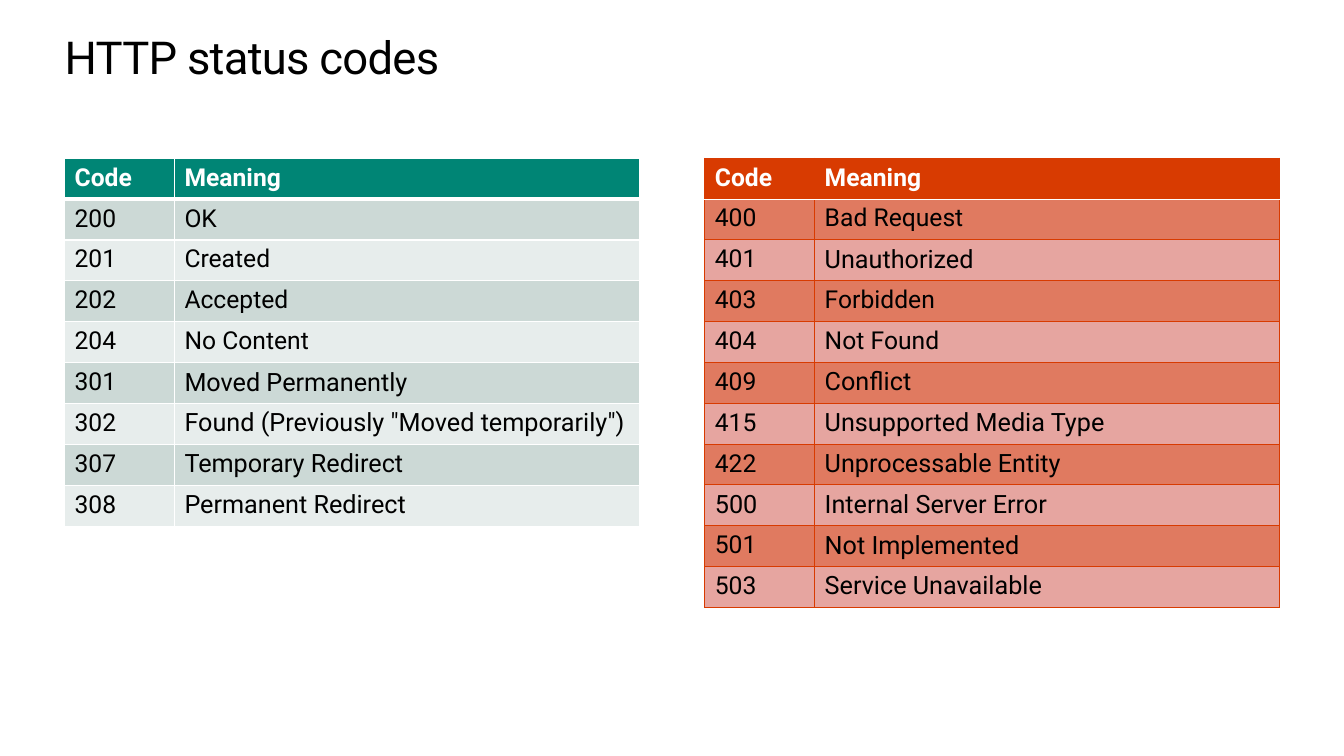
from dataclasses import dataclass

from lxml import etree
from pptx import Presentation
from pptx.dml.color import RGBColor
from pptx.enum.text import MSO_ANCHOR, MSO_AUTO_SIZE, PP_ALIGN
from pptx.oxml.ns import qn
from pptx.util import Inches, Pt

LEFT = PP_ALIGN.LEFT
MIDDLE = MSO_ANCHOR.MIDDLE
NO_AUTOFIT = MSO_AUTO_SIZE.NONE
TITLE_ONLY = 5


@dataclass(frozen=True)
class Theme:
    font: str = "Roboto"
    black: str = "000000"
    white: str = "FFFFFF"
    teal: str = "008575"
    teal_bands: tuple[str, str] = ("CCD9D6", "E7EDEC")
    orange: str = "D83B01"
    orange_bands: tuple[str, str] = ("E07A60", "E6A5A0")
    title_size: float = 32.4
    body_size: float = 17.6
    large_size: float = 18


THEME = Theme()
BODY, LARGE = THEME.body_size, THEME.large_size


@dataclass(frozen=True)
class Status:
    code: str
    meaning: str
    meaning_size: float = BODY
    code_size: float = BODY


@dataclass(frozen=True)
class Rule:
    color: str
    width: float


@dataclass(frozen=True)
class StatusTable:
    left: float
    height: float
    header_fill: str
    bands: tuple[str, str]
    grid: Rule
    header_rule: Rule
    rows: tuple[Status, ...]


TABLE_TOP = 1.57
COLUMN_WIDTHS = (1.09, 4.61)

TABLES = (
    StatusTable(
        0.64, 3.65, THEME.teal, THEME.teal_bands,
        Rule(THEME.white, 1), Rule(THEME.white, 3),
        (
            Status("200", "OK"),
            Status("201", "Created"),
            Status("202", "Accepted"),
            Status("204", "No Content"),
            Status("301", "Moved Permanently", LARGE),
            Status("302", 'Found (Previously "Moved temporarily")', LARGE),
            Status("307", "Temporary Redirect", LARGE),
            Status("308", "Permanent Redirect", LARGE),
        ),
    ),
    StatusTable(
        6.99, 4.46, THEME.orange, THEME.orange_bands,
        Rule(THEME.orange, 0.75), Rule(THEME.white, 0.85),
        (
            Status("400", "Bad Request"),
            Status("401", "Unauthorized", LARGE),
            Status("403", "Forbidden"),
            Status("404", "Not Found"),
            Status("409", "Conflict", LARGE),
            Status("415", "Unsupported Media Type", LARGE),
            Status("422", "Unprocessable Entity", LARGE),
            Status("500", "Internal Server Error", LARGE, LARGE),
            Status("501", "Not Implemented", LARGE),
            Status("503", "Service Unavailable", LARGE),
        ),
    ),
)


def write_text(tf, text: str, *, size: float, color: str = THEME.black,
               bold: bool = False, spacing: float = 0) -> None:
    p = tf.paragraphs[0]
    p.alignment = LEFT
    r = p.add_run()
    r.text = text
    r.font.name = THEME.font
    r.font.size = Pt(size)
    r.font.bold = bold
    r.font.color.rgb = RGBColor.from_string(color)
    if spacing:
        r._r.get_or_add_rPr().set("spc", str(round(spacing * 100)))


def set_borders(cell, **rules: Rule) -> None:
    """Set the L, R, T and B borders, which precede the fill in the XML."""
    tc_pr = cell._tc.get_or_add_tcPr()
    for i, side in enumerate("LRTB"):
        ln = etree.Element(qn(f"a:ln{side}"), w=str(Pt(rules[side].width)))
        fill = etree.SubElement(ln, qn("a:solidFill"))
        etree.SubElement(fill, qn("a:srgbClr"), val=rules[side].color)
        tc_pr.insert(i, ln)


def add_title(s, text: str) -> None:
    title = s.shapes.title
    title.left, title.top = Inches(0.64), Inches(0.25)
    title.width, title.height = Inches(12.05), Inches(0.61)
    tf = title.text_frame
    tf.margin_left = tf.margin_right = tf.margin_top = tf.margin_bottom = 0
    tf.vertical_anchor = MIDDLE
    tf.auto_size = NO_AUTOFIT
    tf.word_wrap = True
    write_text(tf, text, size=THEME.title_size, spacing=-0.5)


def add_status_table(s, data: StatusTable) -> None:
    rows = (Status("Code", "Meaning"), *data.rows)
    table = s.shapes.add_table(
        len(rows), len(COLUMN_WIDTHS), Inches(data.left), Inches(TABLE_TOP),
        Inches(sum(COLUMN_WIDTHS)), Inches(data.height)).table
    table.horz_banding = False
    for column, width in zip(table.columns, COLUMN_WIDTHS):
        column.width = Inches(width)

    for i, row in enumerate(rows):
        table.rows[i].height = Inches(data.height / len(rows))
        header = i == 0
        fill = data.header_fill if header else data.bands[(i - 1) % 2]
        color = THEME.white if header else THEME.black
        top = data.header_rule if i == 1 else data.grid
        bottom = data.header_rule if header else data.grid
        entries = ((row.code, row.code_size), (row.meaning, row.meaning_size))
        for j, (text, size) in enumerate(entries):
            cell = table.cell(i, j)
            cell.fill.solid()
            cell.fill.fore_color.rgb = RGBColor.from_string(fill)
            set_borders(cell, L=data.grid, R=data.grid, T=top, B=bottom)
            write_text(cell.text_frame, text, size=size, color=color, bold=header)


def main() -> None:
    prs = Presentation()
    prs.slide_width, prs.slide_height = Inches(13.33), Inches(7.5)
    s = prs.slides.add_slide(prs.slide_layouts[TITLE_ONLY])

    # Title
    add_title(s, "HTTP status codes")

    # Success and redirect codes, then error codes
    for data in TABLES:
        add_status_table(s, data)

    prs.save("out.pptx")


if __name__ == "__main__":
    main()
